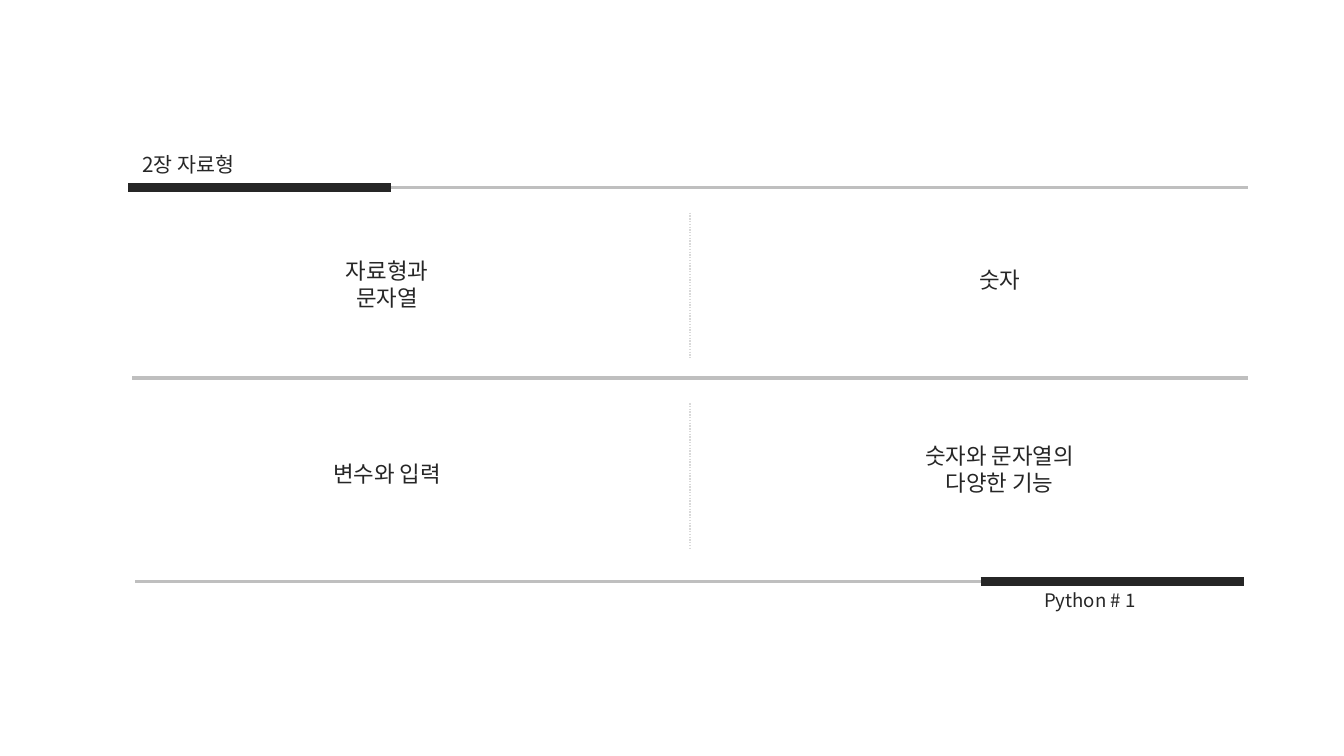
import pptx
import pptx.dml.color
import pptx.enum.dml
import pptx.enum.shapes
import pptx.enum.text
import pptx.oxml.ns
import pptx.util
from lxml import etree

INK = pptx.dml.color.RGBColor(0x26, 0x26, 0x26)
RULE = pptx.dml.color.RGBColor(0xBF, 0xBF, 0xBF)
DOTS = pptx.dml.color.RGBColor(0xD9, 0xD9, 0xD9)
FONT = "Noto Sans CJK KR"
LEFT = pptx.enum.text.PP_ALIGN.LEFT
CENTER = pptx.enum.text.PP_ALIGN.CENTER
DOTTED = pptx.enum.dml.MSO_LINE.ROUND_DOT

# The slide is a grid of 100 columns by 100 rows; boxes are left, top, width, height.
WIDTH, HEIGHT = pptx.util.Inches(13.33), pptx.util.Inches(7.5)
COL, ROW = WIDTH / 100, HEIGHT / 100
BAR = 19.58
HEADER = (9.53, 19.47, 83.33, 5.33)
TOPICS = (9.83, 24.8, 83.03, 52.13)
FOOTER = (10.05, 76.93, 82.5, 4.67)


def add_rule(s, box, start, end, color, weight, dash=None):
    """Draw a straight line between two points given relative to the box."""
    x, y = box[:2]
    line = s.shapes.add_connector(
        pptx.enum.shapes.MSO_CONNECTOR.STRAIGHT,
        round((x + start[0]) * COL), round((y + start[1]) * ROW),
        round((x + end[0]) * COL), round((y + end[1]) * ROW))
    line.line.color.rgb = color
    line.line.width = pptx.util.Pt(weight)
    if dash:
        line.line.dash_style = dash
    etree.SubElement(line._element.spPr, pptx.oxml.ns.qn("a:effectLst"))


def set_text(sp, box, place, text, size, align):
    """Place a text shape relative to the box and format its text."""
    sp.left, sp.top = round((box[0] + place[0]) * COL), round((box[1] + place[1]) * ROW)
    sp.width, sp.height = round(place[2] * COL), round(place[3] * ROW)
    tf = sp.text_frame
    tf.text = text
    tf.word_wrap = True
    tf.auto_size = pptx.enum.text.MSO_AUTO_SIZE.NONE
    tf.vertical_anchor = pptx.enum.text.MSO_ANCHOR.TOP
    p = tf.paragraphs[0]
    p.alignment = align
    r = p.runs[0]
    r.font.size = pptx.util.Pt(size)
    r.font.name = FONT
    r.font.color.rgb = INK
    ea = etree.SubElement(r._r.get_or_add_rPr(), pptx.oxml.ns.qn("a:ea"))
    ea.set("typeface", FONT)


def add_text(s, box, place, text, size, align):
    """Add a text box relative to the box."""
    set_text(s.shapes.add_textbox(0, 0, 0, 0), box, place, text, size, align)


def add_header(s, box):
    """Chapter title above a rule that starts with a heavy bar."""
    width, base = box[2:]
    add_rule(s, box, (BAR / 2, base), (width, base), RULE, 2.5)
    add_rule(s, box, (0, base), (BAR, base), INK, 6.5)
    set_text(s.shapes.title, box, (0.3, 0, 22.73, 4.67), "2장 자료형", 14.7, LEFT)


def add_topics(s, box):
    """Two by two topics, split by a rule and dotted dividers."""
    width, pitch = box[2], 25.2
    centers = (18.97, 64.54)
    topics = (  # text, top within its row, width, height
        (("자료형과 문자열", 8.53, 9.83, 8.53), ("숫자", 9.73, 11.03, 4.93)),
        (("변수와 입력", 10.27, 11.85, 4.93), ("숫자와 문자열의 다양한 기능", 7.87, 14.18, 8.53)),
    )
    add_rule(s, box, (0, pitch), (width, pitch), RULE, 2.5)
    for i, row in enumerate(topics):
        y = i * pitch
        add_rule(s, box, (width / 2, y + 3.33), (width / 2, y + 22.53), DOTS, 1, DOTTED)
        for center, (text, top, w, h) in zip(centers, row):
            add_text(s, box, (center - w / 2, y + top, w, h), text, 16, CENTER)


def add_footer(s, box):
    """Rule that ends with a heavy bar, and the series name below it."""
    width = box[2]
    add_rule(s, box, (0, 0), (width, 0), RULE, 2.5)
    add_rule(s, box, (width - BAR, 0), (width, 0), INK, 6.5)
    add_text(s, box, (66.9, 0.27, 16.5, 4.4), "Python # 1", 13.3, LEFT)


prs = pptx.Presentation()
prs.slide_width, prs.slide_height = WIDTH, HEIGHT
s = prs.slides.add_slide(prs.slide_layouts[5])
add_header(s, HEADER)
add_topics(s, TOPICS)
add_footer(s, FOOTER)
prs.save("out.pptx")
